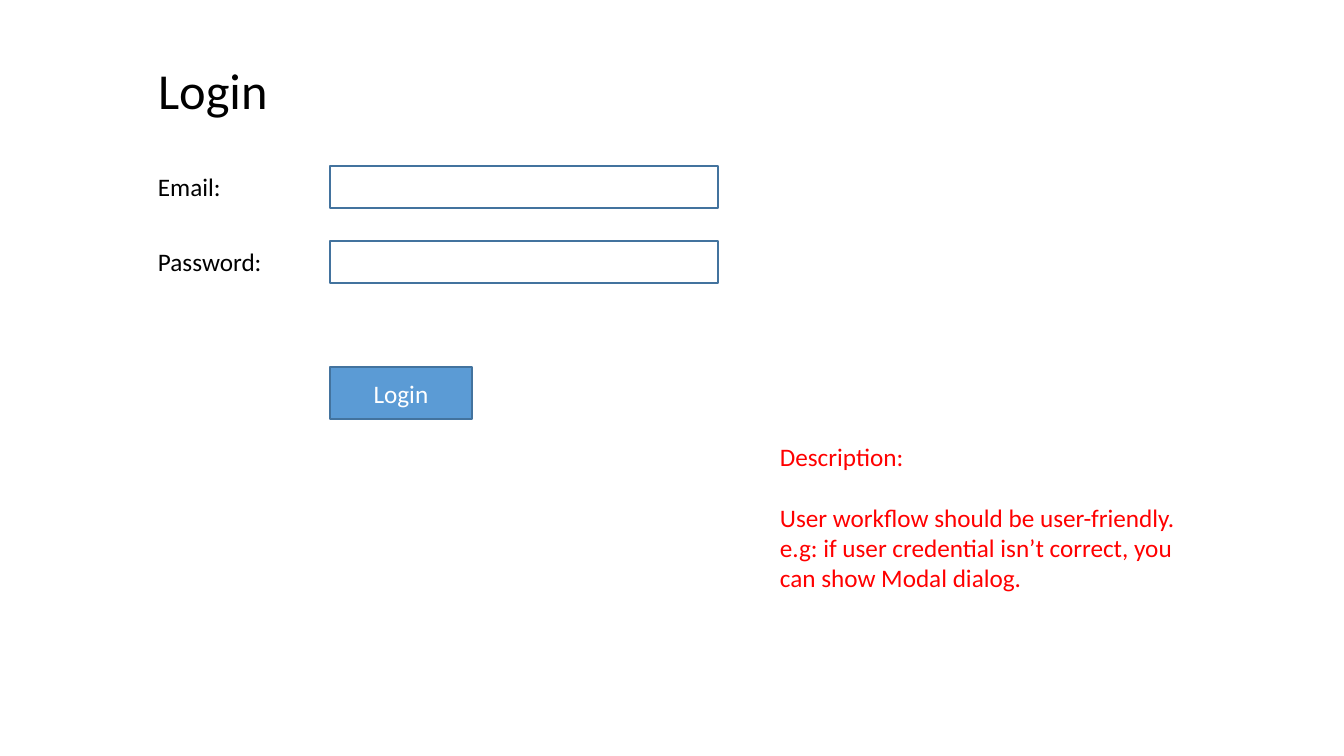
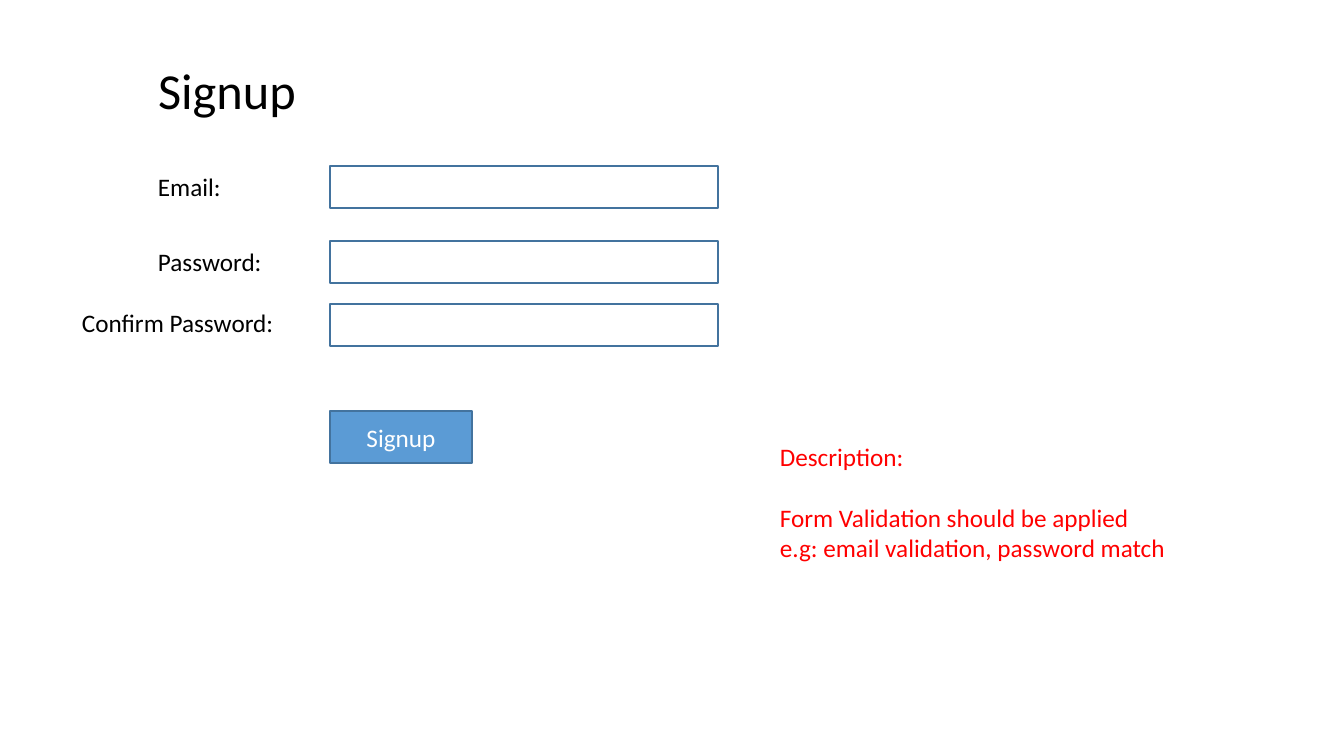
from pptx import Presentation
from pptx import util as u
from pptx.dml.color import RGBColor
from pptx.enum import shapes, text

# Content: form rows are (caption, left, top, width, field top)
EMAIL = ("Email:", 148, 166, 139, 166)
PASSWORD = ("Password:", 148, 241, 139, 241)
CONFIRM = ("Confirm Password:", 72, 302, 217, 304)

FORMS = [
    {
        "name": "Login",
        "title_width": 139,
        "rows": [EMAIL, PASSWORD],
        "button_top": 367,
        "description": [
            "User workflow should be user-friendly.",
            "e.g: if user credential isn’t correct, you can show Modal dialog.",
        ],
        "description_height": 163,
    },
    {
        "name": "Signup",
        "title_width": 244,
        "rows": [EMAIL, PASSWORD, CONFIRM],
        "button_top": 411,
        "description": [
            "Form Validation should be applied",
            "e.g: email validation, password match",
        ],
        "description_height": 132,
    },
]

# Shared style
PX = u.Inches(1) / 100.8
FONT = "Calibri"
BLACK = RGBColor(0x00, 0x00, 0x00)
WHITE = RGBColor(0xFF, 0xFF, 0xFF)
RED = RGBColor(0xFF, 0x00, 0x00)
BLUE = RGBColor(0x5B, 0x9B, 0xD5)
OUTLINE = RGBColor(0x43, 0x73, 0x9E)
FIELD_LEFT = 330
TITLE_ONLY = 5


def px(*lengths):
    return [u.Emu(round(length * PX)) for length in lengths]


def style(para, color, size=18):
    para.font.name = FONT
    para.font.size = u.Pt(size)
    para.font.color.rgb = color


def add_title(page, title, width):
    box = page.shapes.title
    box.left, box.top, box.width, box.height = px(148, 54, width, 72)
    frame = box.text_frame
    frame.text = title
    frame.vertical_anchor = text.MSO_ANCHOR.TOP
    frame.auto_size = text.MSO_AUTO_SIZE.SHAPE_TO_FIT_TEXT
    para = frame.paragraphs[0]
    para.alignment = text.PP_ALIGN.LEFT
    style(para, BLACK, 36)


def add_text(page, lines, place, color):
    frame = page.shapes.add_textbox(*px(*place)).text_frame
    frame.word_wrap = True
    frame.auto_size = text.MSO_AUTO_SIZE.SHAPE_TO_FIT_TEXT
    frame.text = "\n".join(lines)
    for para in frame.paragraphs:
        style(para, color)
    return frame


def add_box(page, place):
    box = page.shapes.add_shape(shapes.MSO_SHAPE.RECTANGLE, *px(*place))
    box.shadow.inherit = False
    box.fill.background()
    box.line.color.rgb = OUTLINE
    box.line.width = u.Pt(1)
    return box


def add_button(page, caption, top):
    button = add_box(page, (FIELD_LEFT, top, 142, 52))
    button.fill.solid()
    button.fill.fore_color.rgb = BLUE
    button.text_frame.text = caption
    para = button.text_frame.paragraphs[0]
    para.alignment = text.PP_ALIGN.CENTER
    style(para, WHITE)


def add_form(deck, form):
    page = deck.slides.add_slide(deck.slide_layouts[TITLE_ONLY])
    add_title(page, form["name"], form["title_width"])
    for caption, left, top, width, field_top in form["rows"]:
        add_box(page, (FIELD_LEFT, field_top, 388, 42))
        add_text(page, [caption], (left, top, width, 40), BLACK)
    add_button(page, form["name"], form["button_top"])
    # Description, with one line of space under its heading
    place = (770, 436, 427, form["description_height"])
    frame = add_text(page, ["Description:"] + form["description"], place, RED)
    frame.paragraphs[0].space_after = u.Pt(22)


def main():
    deck = Presentation()
    deck.slide_width, deck.slide_height = px(1344, 756)
    for form in FORMS:
        add_form(deck, form)
    deck.save("out.pptx")


if __name__ == "__main__":
    main()
